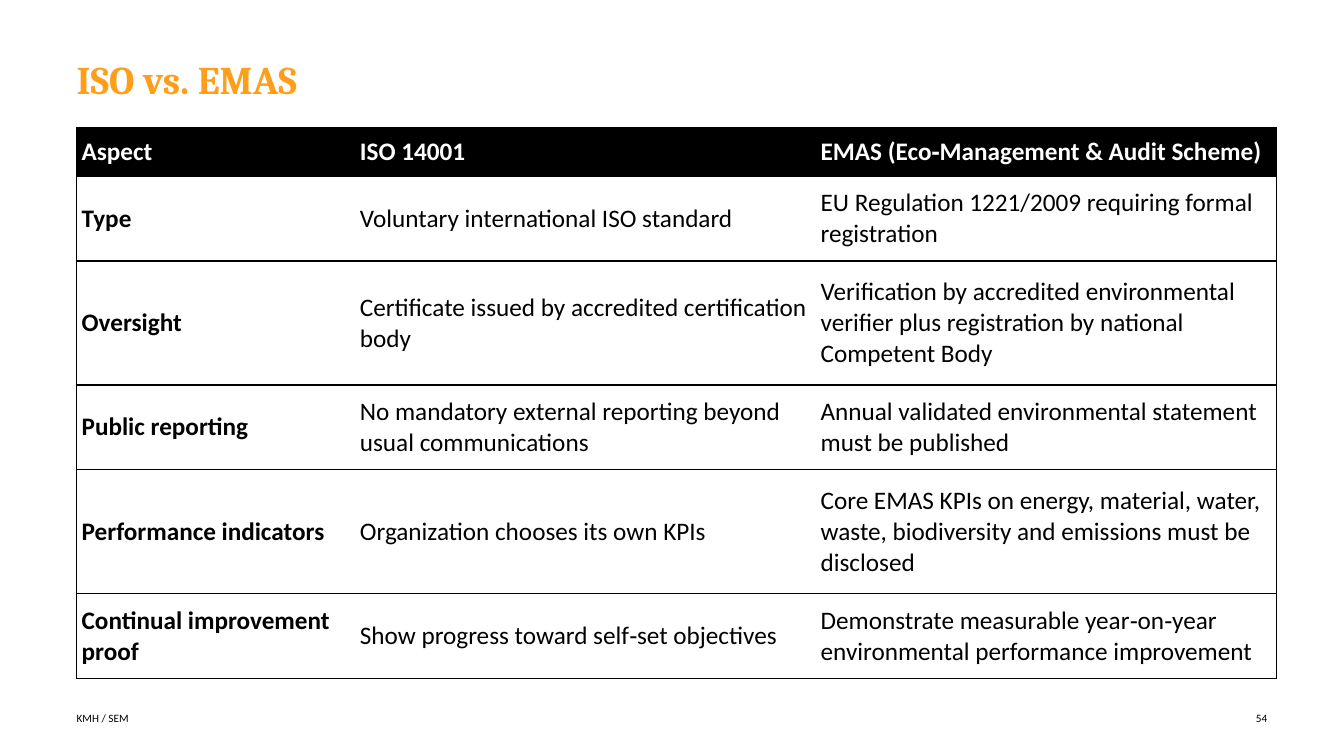
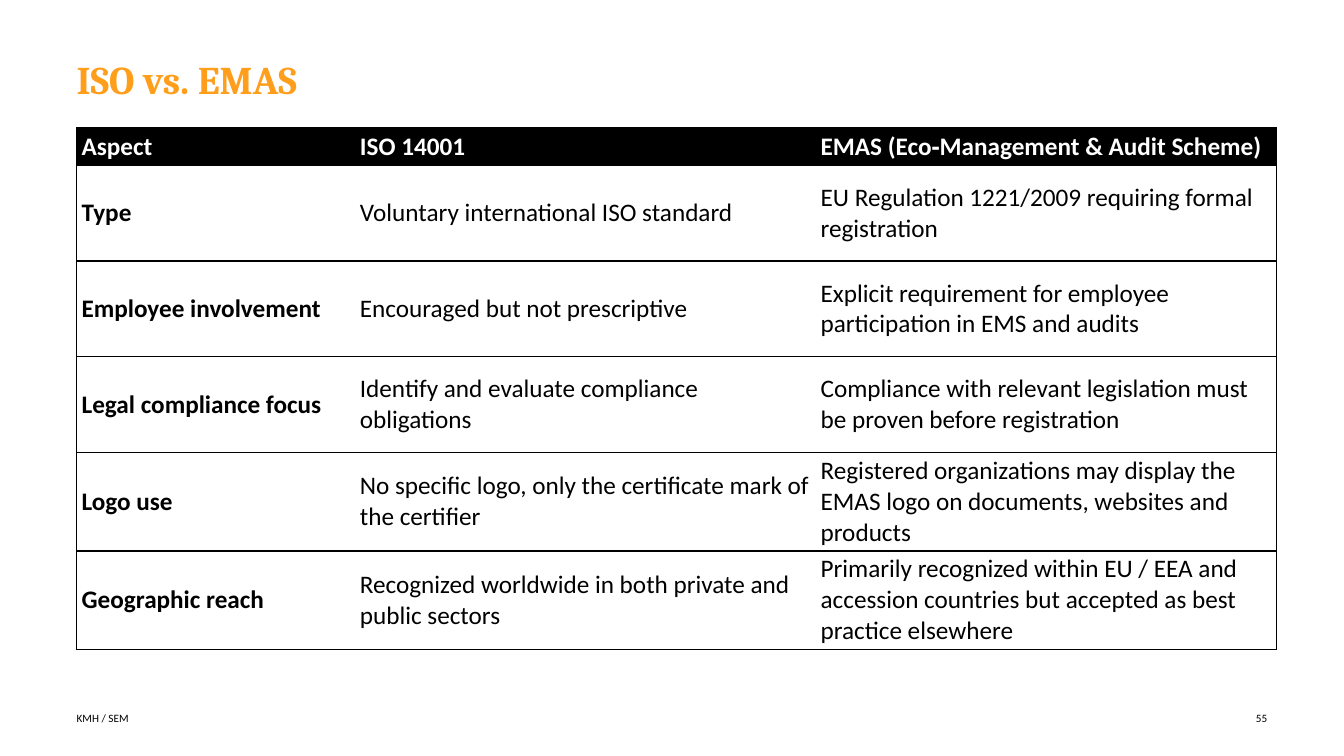
from lxml.etree import SubElement
from pptx import Presentation
from pptx.dml.color import RGBColor
from pptx.enum.text import MSO_ANCHOR as Anchor, PP_ALIGN as Align
from pptx.oxml.ns import qn
from pptx.util import Inches, Pt

ORANGE = RGBColor(0xFF, 0x9E, 0x1B)
BLACK = RGBColor(0, 0, 0)
WHITE = RGBColor(0xFF, 0xFF, 0xFF)

TITLE = "ISO vs. EMAS"
COURSE = "KMH / SEM"
HEADER = ("Aspect", "ISO 14001", "EMAS (Eco‑Management & Audit Scheme)")
TYPE = ("Type", "Voluntary international ISO standard",
        "EU Regulation 1221/2009 requiring formal registration")
COMPARISONS = [
    {"page": 54, "heights": (0.48, 0.84, 1.23, 0.84, 1.23, 0.84), "aspects": [
        ("Oversight", "Certificate issued by accredited certification body",
         "Verification by accredited environmental verifier plus registration "
         "by national Competent Body"),
        ("Public reporting", "No mandatory external reporting beyond usual communications",
         "Annual validated environmental statement must be published"),
        ("Performance indicators", "Organization chooses its own KPIs",
         "Core EMAS KPIs on energy, material, water, waste, biodiversity "
         "and emissions must be disclosed"),
        ("Continual improvement proof", "Show progress toward self‑set objectives",
         "Demonstrate measurable year‑on‑year environmental performance improvement"),
    ]},
    {"page": 55, "heights": (0.37,) + (0.95,) * 5, "aspects": [
        ("Employee involvement", "Encouraged but not prescriptive",
         "Explicit requirement for employee participation in EMS and audits"),
        ("Legal compliance focus", "Identify and evaluate compliance obligations",
         "Compliance with relevant legislation must be proven before registration"),
        ("Logo use", "No specific logo, only the certificate mark of the certifier",
         "Registered organizations may display the EMAS logo on documents, "
         "websites and products"),
        ("Geographic reach", "Recognized worldwide in both private and public sectors",
         "Primarily recognized within EU / EEA and accession countries "
         "but accepted as best practice elsewhere"),
    ]},
]

LEFT, TABLE_TOP, FOOTER_TOP = 0.76, 1.27, 7.04
COLUMNS = (2.76, 4.57, 4.57)


def style(paragraph, font_name, size, color, bold=False):
    for run in paragraph.runs:
        font = run.font
        font.name, font.size, font.bold = font_name, Pt(size), bold
        font.color.rgb = color


def clear_margins(frame):
    frame.margin_left = frame.margin_top = frame.margin_right = frame.margin_bottom = 0
    frame.word_wrap = True


def add_title(slide):
    title = slide.shapes.title
    title.left, title.top, title.width, title.height = map(Inches, (LEFT, 0.6, 9.76, 0.87))
    frame = title.text_frame
    frame.text = TITLE
    clear_margins(frame)
    frame.vertical_anchor = Anchor.TOP
    heading = frame.paragraphs[0]
    heading.alignment, heading.line_spacing = Align.LEFT, 0.9
    style(heading, "Cambria", 28, ORANGE, True)


def add_footer(slide, text, left, width, alignment):
    frame = slide.shapes.add_textbox(*map(Inches, (left, FOOTER_TOP, width, 0.16))).text_frame
    frame.text = text
    clear_margins(frame)
    frame.vertical_anchor = Anchor.MIDDLE
    frame.paragraphs[0].alignment = alignment
    style(frame.paragraphs[0], "Calibri", 8, BLACK)


def set_borders(cell, column):
    visible = {"L": column == 0, "R": column == len(COLUMNS) - 1, "T": True, "B": True}
    properties = cell._tc.get_or_add_tcPr()
    for side, shown in visible.items():
        line = SubElement(properties, qn(f"a:ln{side}"), w=str(Pt(1)))
        if shown:
            SubElement(SubElement(line, qn("a:solidFill")), qn("a:srgbClr"), val=str(BLACK))
        else:
            SubElement(line, qn("a:noFill"))


def add_comparison(slide, rows, heights):
    box = map(Inches, (LEFT, TABLE_TOP, sum(COLUMNS), sum(heights)))
    table = slide.shapes.add_table(len(rows), len(COLUMNS), *box).table
    table.first_row = table.horz_banding = False
    for column, width in zip(table.columns, COLUMNS):
        column.width = Inches(width)
    for r, (row, height) in enumerate(zip(rows, heights)):
        table.rows[r].height = Inches(height)
        for c, text in enumerate(row):
            cell = table.cell(r, c)
            cell.text = text
            cell.vertical_anchor = Anchor.MIDDLE
            cell.margin_left = cell.margin_right = Inches(0.05)
            cell.margin_top = cell.margin_bottom = Inches(0.03)
            set_borders(cell, c)
            cell.fill.solid()
            cell.fill.fore_color.rgb = BLACK if r == 0 else WHITE
            style(cell.text_frame.paragraphs[0], "Calibri", 18,
                  WHITE if r == 0 else BLACK, r == 0 or c == 0)


def main():
    deck = Presentation()
    deck.slide_width, deck.slide_height = Inches(13.33), Inches(7.5)
    for comparison in COMPARISONS:
        slide = deck.slides.add_slide(deck.slide_layouts[5])
        add_title(slide)
        add_comparison(slide, [HEADER, TYPE, *comparison["aspects"]], comparison["heights"])
        add_footer(slide, COURSE, LEFT, 5.59, Align.LEFT)
        add_footer(slide, str(comparison["page"]), 12.02, 0.55, Align.RIGHT)
    deck.save("out.pptx")


if __name__ == "__main__":
    main()
